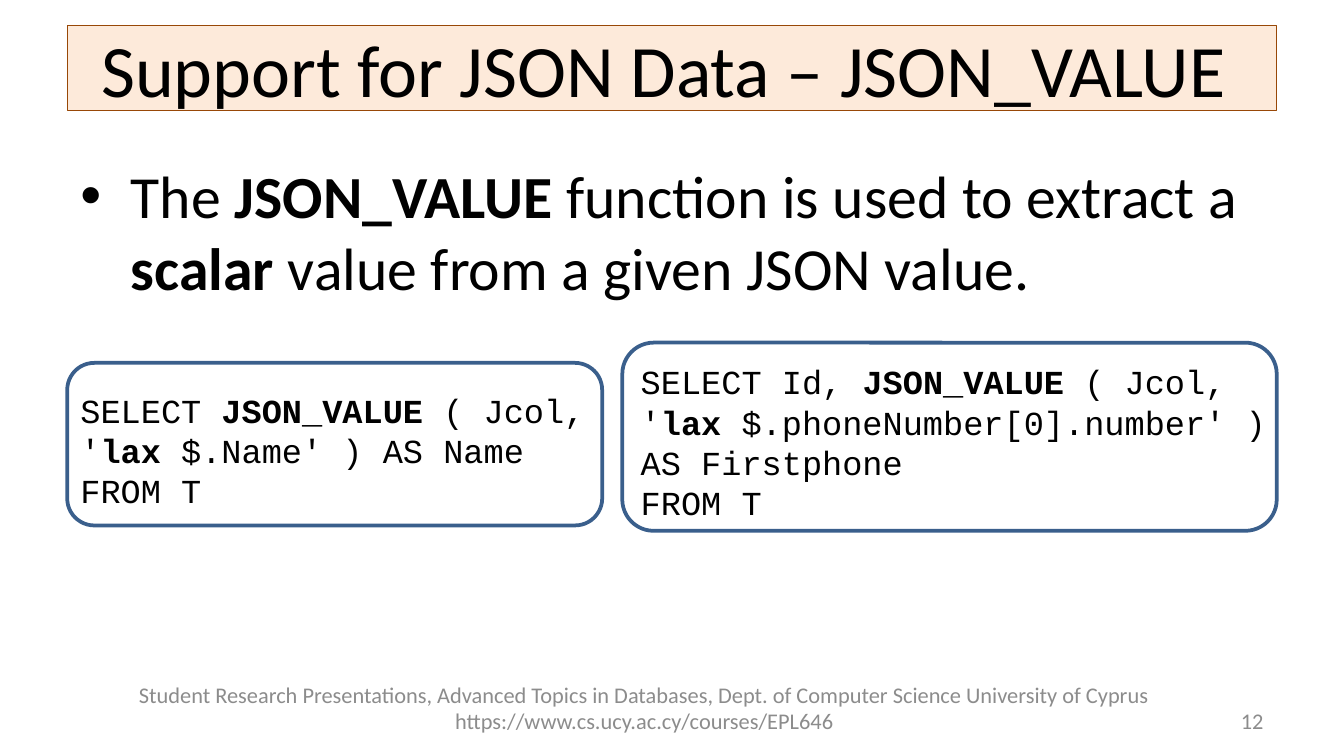
from lxml import etree
from pptx import Presentation
from pptx.dml.color import RGBColor
from pptx.enum.shapes import MSO_SHAPE
from pptx.enum.text import MSO_ANCHOR, PP_ALIGN
from pptx.oxml.ns import qn
from pptx.util import Pt

ROUND_RECT = MSO_SHAPE.ROUNDED_RECTANGLE
TOP, MIDDLE = MSO_ANCHOR.TOP, MSO_ANCHOR.MIDDLE
LEFT, CENTER, RIGHT = PP_ALIGN.LEFT, PP_ALIGN.CENTER, PP_ALIGN.RIGHT

BLACK = RGBColor(0x00, 0x00, 0x00)
WHITE = RGBColor(0xFF, 0xFF, 0xFF)
GRAY = RGBColor(0x8C, 0x8C, 0x8C)
BLUE = RGBColor(0x3A, 0x5F, 0x8C)
PEACH = RGBColor(0xFD, 0xEA, 0xDA)
BROWN = RGBColor(0x98, 0x48, 0x07)

# Content: a paragraph is a list of (text, bold) runs
TITLE = [[("Support for JSON Data – JSON_VALUE ", False)]]
BODY = [[("The ", False), ("JSON_VALUE ", True),
         ("function is used to extract a ", False), ("scalar", True),
         (" value from a given JSON value.", False)]]
FOOTER = [[("Student Research Presentations, Advanced Topics in Databases, "
            "Dept. of Computer Science University of Cyprus "
            "https://www.cs.ucy.ac.cy/courses/EPL646", False)]]
NUMBER = [[("12", False)]]
NAME_QUERY = [
    [("SELECT ", False), ("JSON_VALUE ", True), ("( Jcol,", False)],
    [("'", False), ("lax", True), (" $.Name' ) AS Name", False)],
    [("FROM T", False)],
]
PHONE_QUERY = [
    [("SELECT Id, ", False), ("JSON_VALUE ", True), ("( Jcol,", False)],
    [("'", False), ("lax", True), (" $.phoneNumber[0].number' )", False)],
    [("AS Firstphone", False)],
    [("FROM T", False)],
]

# Each query: frame box, text box, code
QUERIES = [
    ((333.4, 183.6, 350.6, 100.8), (336.2, 190, 360, 94.5), PHONE_QUERY),
    ((36, 194.4, 286.6, 87.1), (36, 205.2, 360, 72.7), NAME_QUERY),
]


def place(s, box):
    s.left, s.top, s.width, s.height = map(Pt, box)


def paint(s, fill, line, width):
    s.fill.solid()
    s.fill.fore_color.rgb = fill
    s.line.color.rgb = line
    s.line.width = Pt(width)


def write(s, paragraphs, size, color=BLACK, font="Calibri", align=LEFT, anchor=TOP):
    tf = s.text_frame
    tf.word_wrap = True
    tf.vertical_anchor = anchor
    for i, runs in enumerate(paragraphs):
        p = tf.add_paragraph() if i else tf.paragraphs[0]
        p.alignment = align
        for text, bold in runs:
            r = p.add_run()
            r.text = text
            r.font.name = font
            r.font.size = Pt(size)
            r.font.bold = bold
            r.font.color.rgb = color


def add_text(slide, box, paragraphs, size, **style):
    s = slide.shapes.add_textbox(*map(Pt, box))
    write(s, paragraphs, size, **style)
    return s


def add_bullet(p, indent):
    pPr = p._p.get_or_add_pPr()
    pPr.set("marL", str(Pt(indent)))
    pPr.set("indent", str(-Pt(indent)))
    etree.SubElement(pPr, qn("a:buFont")).set("typeface", "Arial")
    etree.SubElement(pPr, qn("a:buChar")).set("char", "•")


def main():
    prs = Presentation()
    prs.slide_width, prs.slide_height = Pt(720), Pt(405)
    slide = prs.slides.add_slide(prs.slide_layouts[5])

    # Title bar
    title = slide.shapes.title
    place(title, (36, 13.7, 648, 45.7))
    paint(title, PEACH, BROWN, 0.75)
    write(title, TITLE, 39.6, align=CENTER, anchor=MIDDLE)

    # Bullet
    body = add_text(slide, (36, 81.4, 648, 87.1), BODY, 32)
    add_bullet(body.text_frame.paragraphs[0], 27)

    # Query frames with their code
    for frame, text_box, code in QUERIES:
        s = slide.shapes.add_shape(ROUND_RECT, *map(Pt, frame))
        s.shadow.inherit = False
        paint(s, WHITE, BLUE, 2)
        add_text(slide, text_box, code, 18, font="Courier New")

    # Footer and slide number
    add_text(slide, (36, 361.4, 618.5, 35.3), FOOTER, 12,
             color=GRAY, align=CENTER, anchor=MIDDLE)
    add_text(slide, (516.2, 375.1, 167.8, 21.6), NUMBER, 12,
             color=GRAY, align=RIGHT, anchor=MIDDLE)

    prs.save("out.pptx")


if __name__ == "__main__":
    main()
